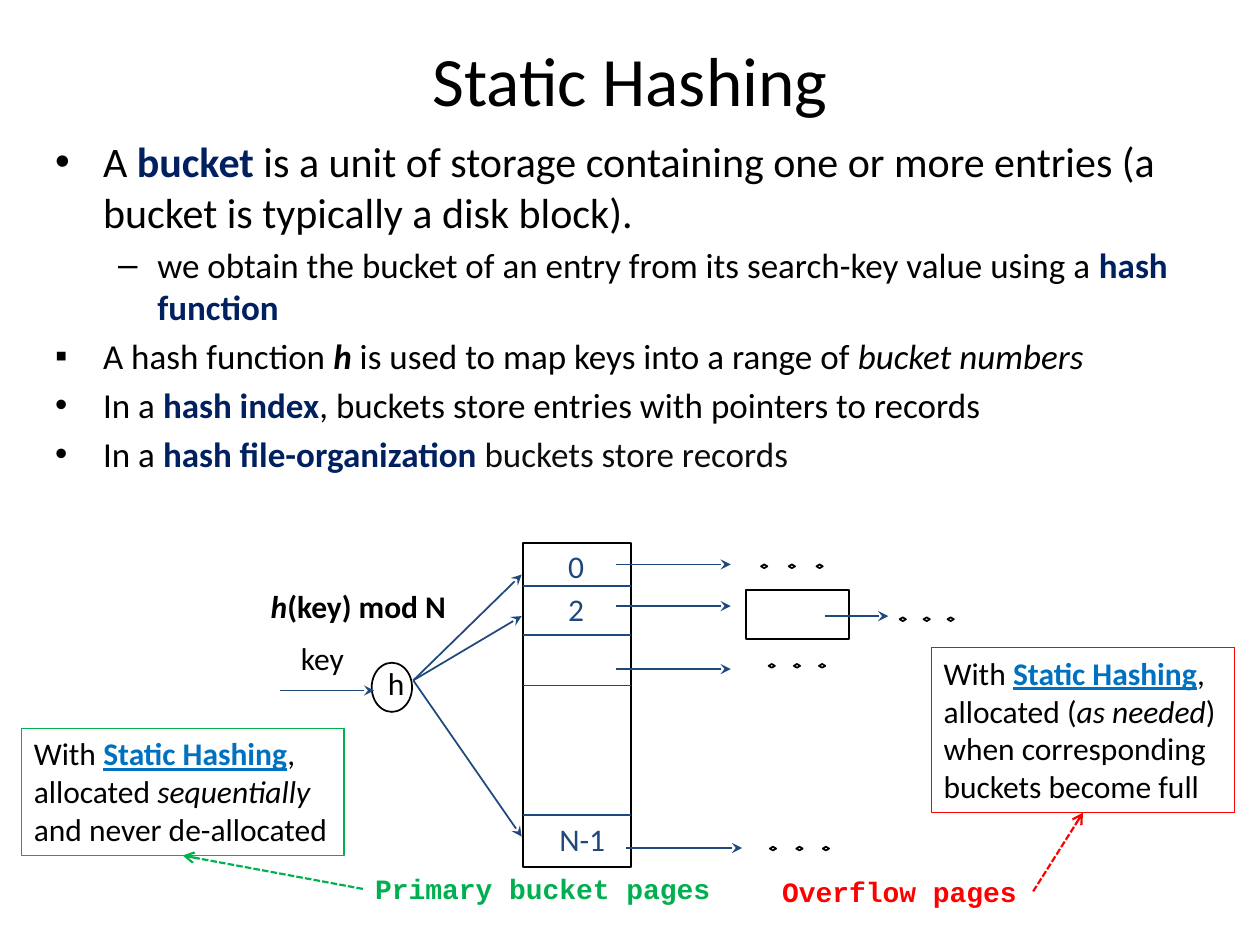
from dataclasses import dataclass

from lxml.etree import SubElement
from pptx import Presentation
from pptx.dml.color import RGBColor
from pptx.enum.dml import MSO_LINE_DASH_STYLE as DASH
from pptx.enum.shapes import MSO_CONNECTOR, MSO_SHAPE as SHAPE
from pptx.enum.text import MSO_ANCHOR as ANCHOR, MSO_AUTO_SIZE as FIT, PP_ALIGN as ALIGN
from pptx.oxml.ns import qn
from pptx.util import Inches, Pt


@dataclass(frozen=True)
class Theme:
    black: str = "000000"
    navy: str = "002060"
    blue: str = "1F497D"
    link: str = "0070C0"
    green: str = "00B050"
    red: str = "FF0000"
    soft_black: str = "0D0D0D"
    font: str = "Calibri"
    mono: str = "Courier New"
    title: float = 39.6
    lead: float = 24
    body: float = 20
    label: float = 18
    caption: float = 16


T = Theme()
LEFT, BOTTOM, RIGHT = 1, 2, 3
KEY_TERM = ("b", T.navy)
LINKED = ("bu", T.link)


class SlideBuilder:
    def __init__(self, prs):
        self.slide = prs.slides.add_slide(prs.slide_layouts[5])
        self.shapes = self.slide.shapes

    def add_runs(self, p, runs, size, color=T.black, font=T.font):
        """Fill a paragraph; a run is (text, flags from "biu", optional colour)."""
        for text, flags, *own in runs:
            if text == "\n":
                p.add_line_break()
                continue
            r = p.add_run()
            r.text = text
            f = r.font
            f.name, f.size = font, Pt(size)
            f.bold, f.italic, f.underline = (x in flags for x in "biu")
            f.color.rgb = RGBColor.from_string(own[0] if own else color)

    def title(self, text, x, y, w, h):
        sp = self.shapes.title
        sp.left, sp.top, sp.width, sp.height = map(Inches, (x, y, w, h))
        tf = sp.text_frame
        tf.vertical_anchor = ANCHOR.MIDDLE
        tf.auto_size = FIT.NONE
        p = tf.paragraphs[0]
        p.alignment = ALIGN.CENTER
        self.add_runs(p, [(text, "")], T.title)

    def bullets(self, items, x, y, w, h):
        """Each item is (bullet, level, size, runs)."""
        tf = self.shapes.add_textbox(*map(Inches, (x, y, w, h))).text_frame
        tf.word_wrap = True
        for n, (mark, level, size, runs) in enumerate(items):
            p = tf.add_paragraph() if n else tf.paragraphs[0]
            p.level = level
            margin, hang = ((0.38, 0.38), (0.81, 0.31))[level]
            pPr = p._p.get_or_add_pPr()
            pPr.set("marL", str(Inches(margin)))
            pPr.set("indent", str(-Inches(hang)))
            SubElement(pPr, qn("a:buFont")).set("typeface", "Arial")
            SubElement(pPr, qn("a:buChar")).set("char", mark)
            if n:
                p.space_before = Pt(size * 0.2)
            self.add_runs(p, runs, size)

    def label(self, runs, x, y, w, h=0.4, size=T.label, color=T.black, font=T.font):
        sp = self.shapes.add_textbox(*map(Inches, (x, y, w, h)))
        sp.text_frame.word_wrap = False
        sp.text_frame.auto_size = FIT.SHAPE_TO_FIT_TEXT
        self.add_runs(sp.text_frame.paragraphs[0], runs, size, color, font)
        return sp

    def outline(self, kind, x, y, w, h, color=T.black, width=1.0):
        sp = self.shapes.add_shape(kind, *map(Inches, (x, y, w, h)))
        sp.shadow.inherit = False
        sp.fill.background()
        sp.line.color.rgb = RGBColor.from_string(color)
        sp.line.width = Pt(width)
        return sp

    def note(self, paragraphs, x, y, w, h, color):
        sp = self.outline(SHAPE.RECTANGLE, x, y, w, h, color, 0.75)
        tf = sp.text_frame
        tf.word_wrap = False
        tf.auto_size = FIT.SHAPE_TO_FIT_TEXT
        tf.vertical_anchor = ANCHOR.TOP
        for n, runs in enumerate(paragraphs):
            p = tf.add_paragraph() if n else tf.paragraphs[0]
            p.alignment = ALIGN.LEFT
            self.add_runs(p, runs, T.label)
        return sp

    def dots(self, x, y, step):
        for n in range(3):
            self.outline(SHAPE.DIAMOND, x + n * step, y, 0.05, 0.03)

    def line(self, x1, y1, x2, y2, color=T.blue, width=1.0, head=None, dash=None):
        c = self.shapes.add_connector(MSO_CONNECTOR.STRAIGHT, *map(Inches, (x1, y1, x2, y2)))
        c.line.color.rgb = RGBColor.from_string(color)
        c.line.width = Pt(width)
        if dash:
            c.line.dash_style = dash
        if head:
            SubElement(c.line._get_or_add_ln(), qn("a:tailEnd")).set("type", head)
        SubElement(c._element.spPr, qn("a:effectLst"))
        return c

    def callout(self, label, side, note, ends, color):
        """Dashed arrow from a side of the label to the bottom of the note."""
        c = self.line(*ends, color, 1.25, "arrow", DASH.SQUARE_DOT)
        c.begin_connect(label, side)
        c.end_connect(note, BOTTOM)


def main():
    prs = Presentation()
    prs.slide_width, prs.slide_height = Inches(10), Inches(7.5)
    s = SlideBuilder(prs)

    s.title("Static Hashing", 0.5, 0.3, 9, 0.65)
    s.bullets([
        ("•", 0, T.lead, [
            ("A ", ""), ("bucket ", *KEY_TERM),
            ("is a unit of storage containing one or more entries "
             "(a bucket is typically a disk block).", "")]),
        ("–", 1, T.body, [
            ("we obtain the bucket of an entry from its search-key value using a ", ""),
            ("hash function", *KEY_TERM)]),
        ("▪", 0, T.body, [
            ("A hash function ", ""), ("h", "bi"),
            (" is used to map keys into a range of ", ""), ("bucket numbers", "i")]),
        ("•", 0, T.body, [
            ("In a ", ""), ("hash index", *KEY_TERM),
            (", buckets store entries with pointers to records", "")]),
        ("•", 0, T.body, [
            ("In a ", ""), ("hash file-organization ", *KEY_TERM),
            ("buckets store records", "", T.soft_black)]),
    ], 0.34, 1.03, 9.33, 5.42)

    # Bucket column, overflow page and hash function
    col_x, col_w = 4.15, 0.86
    s.outline(SHAPE.RECTANGLE, col_x, 4.31, col_w, 2.57)
    s.outline(SHAPE.RECTANGLE, 5.92, 4.68, 0.82, 0.39)
    s.outline(SHAPE.OVAL, 2.95, 5.26, 0.32, 0.39)
    for y in (4.65, 5.04, 5.44, 6.47):
        s.line(col_x, y, col_x + col_w, y)
    for x, y, step in ((6.04, 4.48, 0.22), (6.1, 5.27, 0.2),
                       (7.14, 4.9, 0.19), (6.11, 6.72, 0.21)):
        s.dots(x, y, step)

    s.label([("h", "bi"), ("(key) mod N", "b")], 2.05, 4.61, 1.6)
    s.label([("h", "")], 2.98, 5.22, 0.32)
    s.label([("key", "")], 2.29, 5.02, 0.56)
    for text, x, y, w in (("0", 4.41, 4.29, 0.32), ("2", 4.41, 4.63, 0.32),
                          ("N-1", 4.34, 6.46, 0.59)):
        s.label([(text, "")], x, y, w, color=T.blue)

    # Key to hash function, hash function to buckets
    s.line(2.22, 5.48, 2.97, 5.48, head="stealth")
    for y in (4.56, 4.89, 6.64):
        s.line(3.28, 5.4, 4.14, y, head="stealth")
    # Buckets to overflow chains
    for x, y, length in ((4.89, 4.48, 0.91), (4.89, 4.81, 0.91), (4.89, 5.31, 0.91),
                         (4.97, 6.73, 0.92), (6.55, 4.89, 0.5)):
        s.line(x, y, x + length, y, head="stealth")

    primary = s.label([("Primary bucket pages", "b")], 2.88, 6.87, 2.9, 0.37,
                      T.caption, T.green, T.mono)
    overflow = s.label([("Overflow pages", "b")], 6.11, 6.89, 2.09, 0.37,
                       T.caption, T.red, T.mono)
    opening = [("With ", ""), ("Static Hashing", *LINKED), (",", "")]
    primary_note = s.note([
        opening,
        [("allocated ", ""), ("sequentially", "i")],
        [("and never de-allocated", "")],
    ], 0.17, 5.78, 2.56, 1.01, T.green)
    overflow_note = s.note([
        opening,
        [("allocated (", ""), ("as needed", "i"), (")", "")],
        [("when corresponding", ""), ("\n", ""), ("buckets become full", "")],
    ], 7.39, 5.14, 2.41, 1.31, T.red)
    s.callout(primary, LEFT, primary_note, (2.88, 7.06, 1.45, 6.79), T.green)
    s.callout(overflow, RIGHT, overflow_note, (8.2, 7.07, 8.6, 6.46), T.red)

    prs.save("out.pptx")


if __name__ == "__main__":
    main()
